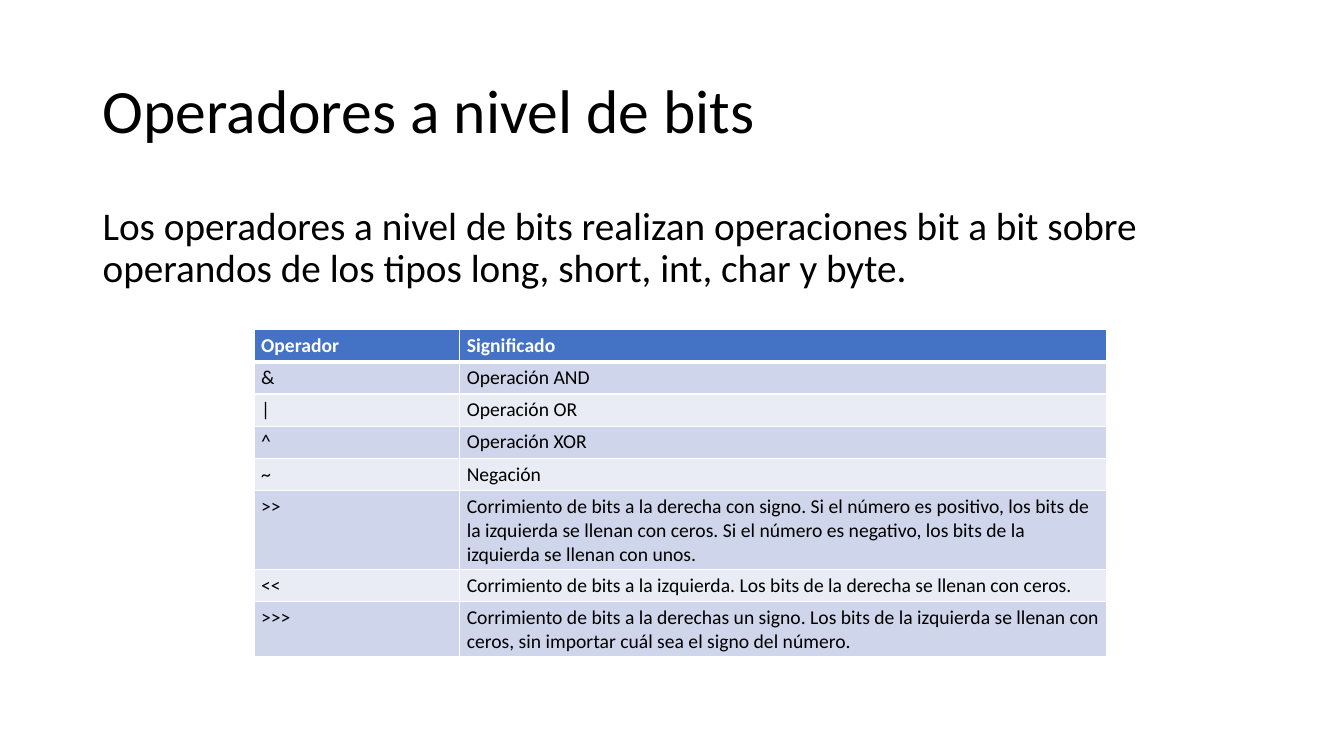
from lxml import etree
from pptx import Presentation
from pptx.dml.color import RGBColor
from pptx.enum.text import MSO_ANCHOR
from pptx.oxml.ns import qn
from pptx.util import Inches, Pt

TOP, MIDDLE = MSO_ANCHOR.TOP, MSO_ANCHOR.MIDDLE
FONT = "Calibri"
BLACK, WHITE = "000000", "FFFFFF"
HEADER_FILL = "4472C4"
BAND_FILLS = ["E9EBF5", "CFD5EA"]
COLUMN_WIDTHS = [2.04, 6.42]
LINE_HEIGHT, ROW_PADDING = 0.22, 0.1
OPERATORS = [
    ("Operador", "Significado", 1),
    ("&", "Operación AND", 1),
    ("|", "Operación OR", 1),
    ("^", "Operación XOR", 1),
    ("~", "Negación", 1),
    (">>", "Corrimiento de bits a la derecha con signo. Si el número es positivo, "
     "los bits de la izquierda se llenan con ceros. Si el número es negativo, "
     "los bits de la izquierda se llenan con unos.", 3),
    ("<<", "Corrimiento de bits a la izquierda. Los bits de la derecha se llenan con ceros.", 1),
    (">>>", "Corrimiento de bits a la derechas un signo. Los bits de la izquierda se llenan "
     "con ceros, sin importar cuál sea el signo del número.", 2),
]


def color(value):
    return RGBColor.from_string(value)


def style_font(para, size, fill, bold=False):
    para.font.name = FONT
    para.font.size = Pt(size)
    para.font.bold = bold
    para.font.color.rgb = color(fill)


def add_text(page, box, text, size, anchor, space_before=0):
    frame = page.shapes.add_textbox(*map(Inches, box)).text_frame
    frame.word_wrap = True
    frame.vertical_anchor = anchor
    para = frame.paragraphs[0]
    para.text = text
    para.line_spacing = 0.9
    para.space_before = Pt(space_before)
    style_font(para, size, BLACK)


def add_borders(cell, bottom_width):
    properties = cell._tc.get_or_add_tcPr()
    for side, width in (("L", 1), ("R", 1), ("T", 1), ("B", bottom_width)):
        line = etree.SubElement(properties, qn(f"a:ln{side}"), w=str(Pt(width)))
        fill = etree.SubElement(line, qn("a:solidFill"))
        etree.SubElement(fill, qn("a:srgbClr"), val=WHITE)


def fill_cell(cell, text, row_index):
    is_header = row_index == 0
    add_borders(cell, 3 if row_index == 0 else 1)
    cell.fill.solid()
    cell.fill.fore_color.rgb = color(HEADER_FILL if is_header else BAND_FILLS[row_index % 2])
    cell.margin_left = cell.margin_right = Inches(0.07)
    cell.margin_top = cell.margin_bottom = Inches(0.04)
    para = cell.text_frame.paragraphs[0]
    para.text = text
    style_font(para, 14, WHITE if is_header else BLACK, is_header)


def add_operator_table(page, box):
    table = page.shapes.add_table(
        len(OPERATORS), len(COLUMN_WIDTHS), *map(Inches, box)).table
    for column, width in zip(table.columns, COLUMN_WIDTHS):
        column.width = Inches(width)
    for row_index, (operator, meaning, lines) in enumerate(OPERATORS):
        table.rows[row_index].height = Inches(ROW_PADDING + LINE_HEIGHT * lines)
        for column_index, text in enumerate((operator, meaning)):
            fill_cell(table.cell(row_index, column_index), text, row_index)


def build_slide(deck):
    page = deck.slides.add_slide(deck.slide_layouts[6])
    add_text(page, (0.92, 0.4, 11.5, 1.45), "Operadores a nivel de bits", 44, MIDDLE)
    add_text(page, (0.92, 2, 11.5, 4.76),
             "Los operadores a nivel de bits realizan operaciones bit a bit sobre "
             "operandos de los tipos long, short, int, char y byte.", 28, TOP, 10)
    add_operator_table(page, (2.52, 3.27, sum(COLUMN_WIDTHS), 3.22))


deck = Presentation()
deck.slide_width, deck.slide_height = Inches(13.33), Inches(7.5)
build_slide(deck)
deck.save("out.pptx")
